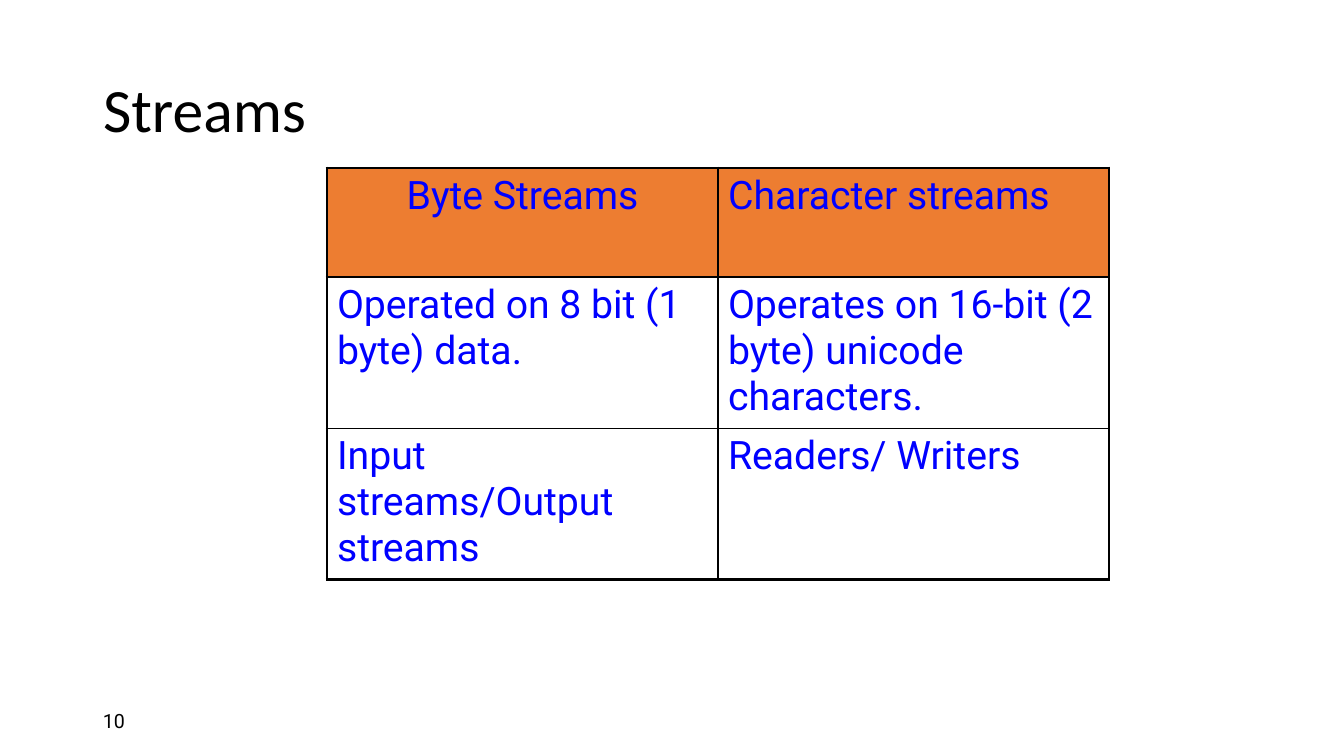
from dataclasses import dataclass

from lxml.etree import SubElement
from pptx import Presentation
from pptx.dml.color import RGBColor
from pptx.enum.text import MSO_ANCHOR as Anchor, MSO_AUTO_SIZE as AutoSize, PP_ALIGN as Align
from pptx.oxml.ns import qn
from pptx.util import Emu, Pt

EMU_PER_PIXEL = 914400 / 100.8
BLACK, WHITE, BLUE, ORANGE = "000000", "FFFFFF", "0000FF", "ED7D31"
OUTER_WIDTH, INNER_WIDTH = 2.25, 1
COLUMN_WIDTH = 391
ROW_HEIGHTS = [109, 148, 148]


@dataclass
class TableRow:
    byte_text: str
    character_text: str
    fill: str = WHITE
    byte_align: Align = Align.LEFT


ROWS = [
    TableRow("Byte Streams", "Character streams", ORANGE, Align.CENTER),
    TableRow("Operated on 8 bit (1 byte) data.",
             "Operates on 16-bit (2 byte) unicode characters."),
    TableRow("Input streams/Output streams", "Readers/ Writers"),
]


def pixels(value: int) -> Emu:
    return Emu(round(value * EMU_PER_PIXEL))


def box(*values: int) -> list[Emu]:
    return [pixels(value) for value in values]


def color(value: str) -> RGBColor:
    return RGBColor.from_string(value)


def write(frame, text: str, *, size: int, font: str = "Roboto", fill: str = BLACK,
          align: Align = Align.LEFT, spacing: float = 1.0) -> None:
    frame.word_wrap = True
    paragraph = frame.paragraphs[0]
    paragraph.alignment = align
    paragraph.line_spacing = spacing
    run = paragraph.add_run()
    run.text = text
    run.font.name = font
    run.font.size = Pt(size)
    run.font.color.rgb = color(fill)


def add_border(cell, side: str, width: float) -> None:
    properties = cell._tc.get_or_add_tcPr()
    line = SubElement(properties, qn(f"a:ln{side}"), w=str(Pt(width)))
    solid = SubElement(line, qn("a:solidFill"))
    SubElement(solid, qn("a:srgbClr"), val=BLACK)


def add_title(slide, text: str) -> None:
    title = slide.shapes.title
    title.left, title.top, title.width, title.height = box(93, 40, 1159, 146)
    frame = title.text_frame
    frame.auto_size = AutoSize.NONE
    frame.vertical_anchor = Anchor.MIDDLE
    write(frame, text, size=44, font="Calibri", spacing=0.9)


def add_page_number(slide, text: str) -> None:
    frame = slide.shapes.add_textbox(*box(93, 701, 302, 40)).text_frame
    frame.vertical_anchor = Anchor.MIDDLE
    write(frame, text, size=14)


def add_stream_table(slide, rows: list[TableRow]) -> None:
    frame = slide.shapes.add_table(
        len(rows), 2, *box(327, 168, 2 * COLUMN_WIDTH, sum(ROW_HEIGHTS)))
    table = frame.table
    table.first_row = table.horz_banding = False
    for column in table.columns:
        column.width = pixels(COLUMN_WIDTH)
    for index, (row, height) in enumerate(zip(rows, ROW_HEIGHTS)):
        table.rows[index].height = pixels(height)
        texts = [(row.byte_text, row.byte_align), (row.character_text, Align.LEFT)]
        for column_index, (text, align) in enumerate(texts):
            cell = table.cell(index, column_index)
            outer_sides = {
                "L": column_index == 0,
                "R": column_index == 1,
                "T": index == 0,
                "B": index == len(rows) - 1,
            }
            for side, is_outer in outer_sides.items():
                add_border(cell, side, OUTER_WIDTH if is_outer else INNER_WIDTH)
            cell.fill.solid()
            cell.fill.fore_color.rgb = color(row.fill)
            write(cell.text_frame, text, size=28, fill=BLUE, align=align)


def main() -> None:
    presentation = Presentation()
    presentation.slide_width, presentation.slide_height = box(1344, 756)
    slide = presentation.slides.add_slide(presentation.slide_layouts[5])
    add_page_number(slide, "10")
    add_title(slide, "Streams")
    add_stream_table(slide, ROWS)
    presentation.save("out.pptx")


main()
